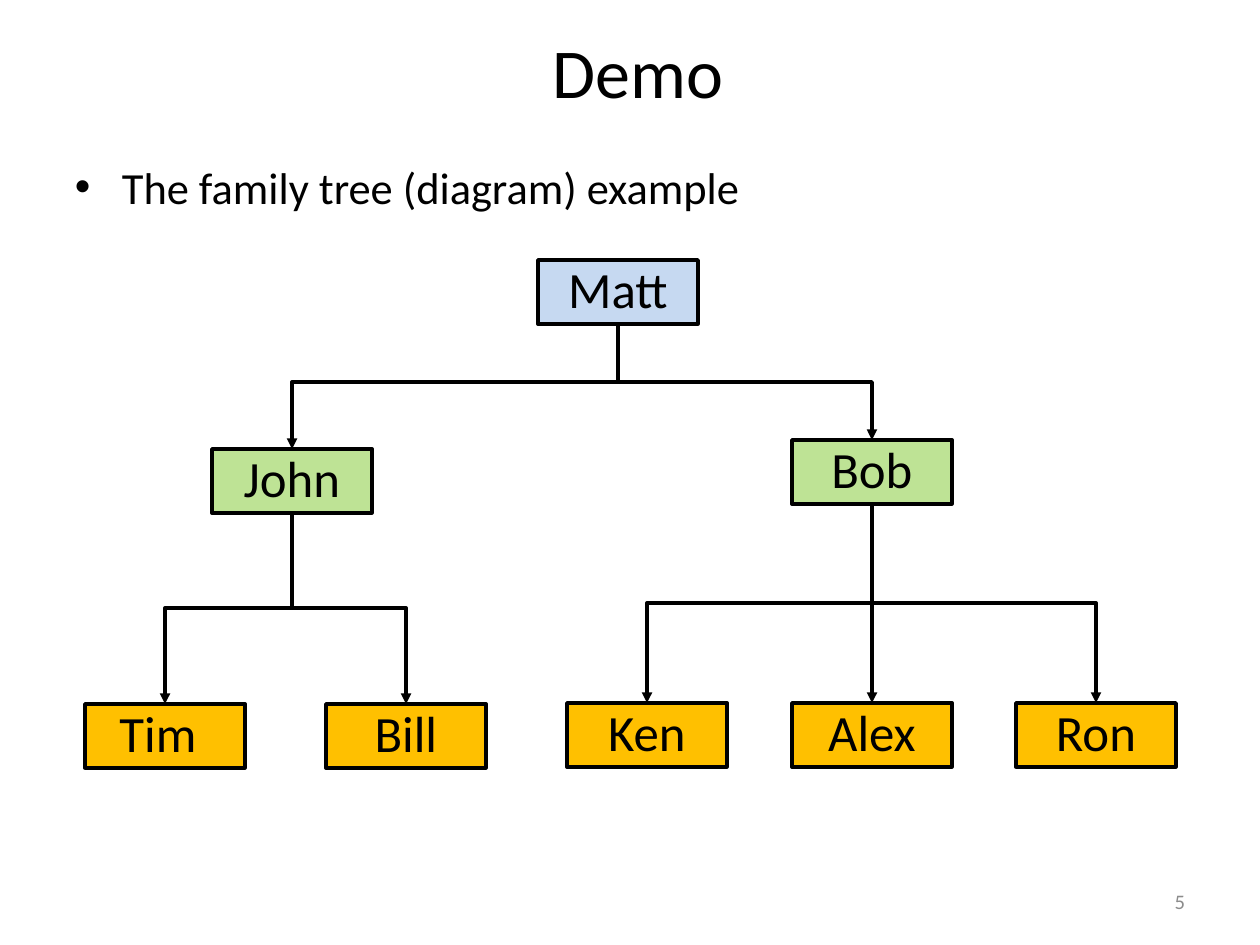
from dataclasses import dataclass

import lxml.etree
import pptx
import pptx.dml.color
import pptx.enum.shapes
import pptx.enum.text
import pptx.oxml.ns
import pptx.shapes.autoshape
import pptx.shapes.connector
import pptx.slide
import pptx.text.text
import pptx.util

RGBColor = pptx.dml.color.RGBColor
Align = pptx.enum.text.PP_ALIGN
Anchor = pptx.enum.text.MSO_ANCHOR
qn = pptx.oxml.ns.qn

PX = 8000  # EMU in one px
BLACK = RGBColor(0x00, 0x00, 0x00)
GRAY = RGBColor(0x8C, 0x8C, 0x8C)
BLUE = RGBColor(0xC6, 0xD9, 0xF1)
GREEN = RGBColor(0xBE, 0xE3, 0x95)
ORANGE = RGBColor(0xFF, 0xC0, 0x00)
FONT = "Calibri"
LINE_WIDTH = pptx.util.Pt(2.25)

PERSON_W, PERSON_H = 160, 64
SIDE_PAD = 11
BOTTOM_SITE, TOP_SITE = 2, 0


@dataclass(frozen=True)
class Caption:
    text: str
    left: int
    top: int
    width: int
    height: int
    size: float
    align: Align
    anchor: Anchor
    color: RGBColor = BLACK
    bulleted: bool = False


@dataclass(frozen=True)
class Person:
    name: str
    left: int
    top: int
    fill: RGBColor
    parent: str = ""
    right_pad: int = SIDE_PAD

    @property
    def center(self) -> int:
        return self.left + PERSON_W // 2

    @property
    def bottom(self) -> int:
        return self.top + PERSON_H


CAPTIONS = [
    Caption("Demo", 71, 23, 1134, 94, 44.1, Align.CENTER, Anchor.MIDDLE),
    Caption("The family tree (diagram) example", 63, 154, 1134, 718, 28,
            Align.LEFT, Anchor.TOP, bulleted=True),
    Caption("5", 903, 876, 294, 50, 13, Align.RIGHT, Anchor.MIDDLE, GRAY),
]
FAMILY = [
    Person("Matt", 538, 260, BLUE),
    Person("John", 212, 449, GREEN, "Matt"),
    Person("Bob", 792, 440, GREEN, "Matt"),
    Person("Tim", 85, 704, ORANGE, "John", right_pad=25),
    Person("Bill", 326, 704, ORANGE, "John"),
    Person("Ken", 567, 703, ORANGE, "Bob"),
    Person("Alex", 792, 703, ORANGE, "Bob"),
    Person("Ron", 1016, 703, ORANGE, "Bob"),
]


def set_attributes(target: object, values: dict[str, object]) -> None:
    for name, value in values.items():
        setattr(target, name, value)


def write_text(frame: pptx.text.text.TextFrame, text: str, size: float,
               color: RGBColor, align: Align) -> pptx.text.text._Paragraph:
    paragraph = frame.paragraphs[0]
    paragraph.alignment = align
    run = paragraph.add_run()
    run.text = text
    set_attributes(run.font, {"name": FONT, "size": pptx.util.Pt(size)})
    run.font.color.rgb = color
    return paragraph


def add_bullet(paragraph: pptx.text.text._Paragraph, indent: int) -> None:
    properties = paragraph._p.get_or_add_pPr()
    properties.set("marL", str(indent * PX))
    properties.set("indent", str(-indent * PX))
    lxml.etree.SubElement(properties, qn("a:buFont"), typeface="Arial")
    lxml.etree.SubElement(properties, qn("a:buChar"), char="•")


def add_caption(slide: pptx.slide.Slide, caption: Caption) -> None:
    box = slide.shapes.add_textbox(
        caption.left * PX, caption.top * PX, caption.width * PX, caption.height * PX)
    set_attributes(box.text_frame, {
        "word_wrap": True, "vertical_anchor": caption.anchor,
        "margin_left": 12 * PX, "margin_right": 12 * PX,
        "margin_top": 6 * PX, "margin_bottom": 6 * PX,
    })
    paragraph = write_text(
        box.text_frame, caption.text, caption.size, caption.color, caption.align)
    if caption.bulleted:
        paragraph.space_before = pptx.util.Pt(caption.size * 0.2)
        add_bullet(paragraph, 47)


def add_person(slide: pptx.slide.Slide, person: Person) -> pptx.shapes.autoshape.Shape:
    box = slide.shapes.add_shape(
        pptx.enum.shapes.MSO_SHAPE.RECTANGLE,
        person.left * PX, person.top * PX, PERSON_W * PX, PERSON_H * PX)
    box.shadow.inherit = False
    box.fill.solid()
    box.fill.fore_color.rgb = person.fill
    box.line.color.rgb = BLACK
    box.line.width = LINE_WIDTH
    set_attributes(box.text_frame, {
        "word_wrap": True, "vertical_anchor": Anchor.MIDDLE,
        "margin_left": SIDE_PAD * PX, "margin_right": person.right_pad * PX,
    })
    paragraph = write_text(box.text_frame, person.name, 32, BLACK, Align.CENTER)
    paragraph.line_spacing = 0.93
    return box


def add_descent(slide: pptx.slide.Slide, parent: Person, child: Person, drop: int,
                boxes: dict[str, pptx.shapes.autoshape.Shape]) -> None:
    """Draw an elbow arrow that turns sideways `drop` px below the parent.

    The elbow preset runs sideways first, so its frame is laid flat and turned.
    """
    fall = child.top - parent.bottom
    shift = child.center - parent.center
    left = (parent.center + child.center - fall) * PX // 2
    top = (parent.bottom + child.top - abs(shift)) * PX // 2
    right, bottom = left + fall * PX, top + abs(shift) * PX
    start_x, end_x = (right, left) if shift > 0 else (left, right)

    arrow = slide.shapes.add_connector(
        pptx.enum.shapes.MSO_CONNECTOR.ELBOW, start_x, top, end_x, bottom)
    arrow.begin_connect(boxes[parent.name], BOTTOM_SITE)
    arrow.end_connect(boxes[child.name], TOP_SITE)
    set_attributes(arrow, {
        "begin_x": start_x, "begin_y": top, "end_x": end_x, "end_y": bottom})
    arrow.line.color.rgb = BLACK
    arrow.line.width = LINE_WIDTH

    properties = arrow._element.spPr
    quarter_turns = 3 if shift > 0 else 1
    properties.find(qn("a:xfrm")).set("rot", str(quarter_turns * 90 * 60000))
    adjustments = properties.find(qn("a:prstGeom")).find(qn("a:avLst"))
    lxml.etree.SubElement(adjustments, qn("a:gd"), name="adj1",
                          fmla=f"val {round(100000 * drop / fall)}")
    lxml.etree.SubElement(properties.find(qn("a:ln")), qn("a:tailEnd"), type="triangle")
    lxml.etree.SubElement(properties, qn("a:effectLst"))


def main() -> None:
    deck = pptx.Presentation()
    deck.slide_width, deck.slide_height = 1260 * PX, 945 * PX
    slide = deck.slides.add_slide(deck.slide_layouts[6])

    for caption in CAPTIONS:
        add_caption(slide, caption)
    boxes = {person.name: add_person(slide, person) for person in FAMILY}
    for parent in FAMILY:
        children = [person for person in FAMILY if person.parent == parent.name]
        for child in children:
            drop = (min(sibling.top for sibling in children) - parent.bottom) // 2
            add_descent(slide, parent, child, drop, boxes)

    deck.save("out.pptx")


if __name__ == "__main__":
    main()
